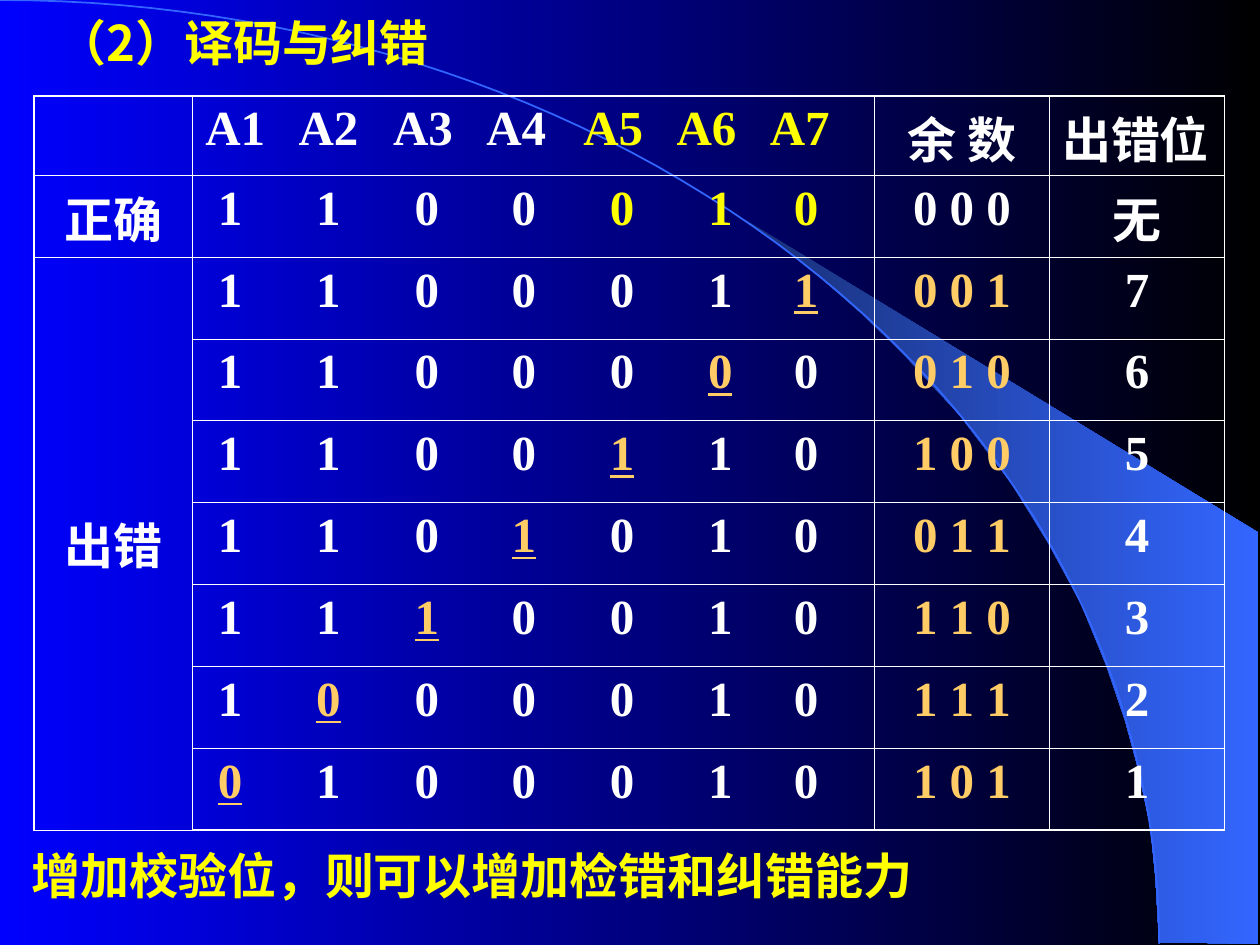
"""Build the slide on decoding and error correction with its syndrome table."""
from dataclasses import dataclass
from math import cos, pi, sin
from typing import NamedTuple

from lxml import etree
from pptx import Presentation
from pptx.dml.color import RGBColor
from pptx.enum.text import MSO_ANCHOR, MSO_AUTO_SIZE, PP_ALIGN
from pptx.oxml.ns import qn
from pptx.util import Inches, Pt

LEFT, CENTER = PP_ALIGN.LEFT, PP_ALIGN.CENTER
TOP, MIDDLE = MSO_ANCHOR.TOP, MSO_ANCHOR.MIDDLE
GROW = MSO_AUTO_SIZE.SHAPE_TO_FIT_TEXT


@dataclass(frozen=True)
class Theme:
    white: str = "FFFFFF"
    yellow: str = "FFFF00"
    error: str = "FFCC66"
    blue: str = "0000FF"
    black: str = "000000"
    wedge: str = "182F76"
    curve: str = "3366FF"
    latin: str = "Times New Roman"
    chinese: str = "Noto Sans CJK SC"
    size: float = 28
    outer_line: float = 1.08
    inner_line: float = 0.45


THEME = Theme()


class Piece(NamedTuple):
    text: str
    color: str = THEME.white
    underline: bool = False
    font: str = THEME.latin


class Caption(NamedTuple):
    piece: Piece
    left: float
    top: float
    width: float
    wrap: bool


class Codeword(NamedTuple):
    bits: str
    remainder: str
    position: str


CAPTIONS = (
    Caption(Piece("（2）译码与纠错", THEME.yellow, font=THEME.chinese), -0.04, 0.05, 3.94, True),
    Caption(Piece("增加校验位，则可以增加检错和纠错能力", THEME.yellow), 0.15, 6.66, 7.19, False),
)
ERRORS = (
    Codeword("1100011", "0 0 1", "7"),
    Codeword("1100000", "0 1 0", "6"),
    Codeword("1100110", "1 0 0", "5"),
    Codeword("1101010", "0 1 1", "4"),
    Codeword("1110010", "1 1 0", "3"),
    Codeword("1000010", "1 1 1", "2"),
    Codeword("0100010", "1 0 1", "1"),
)
COLUMN_WIDTHS = (1.26, 5.41, 1.39, 1.39)
ROW_HEIGHTS = (0.63,) + (0.65,) * 8
HEADER_STOPS = (0.74, 1.49, 2.23, 3, 3.74, 4.48)
BIT_STOPS = (0.78, 1.56, 2.33, 3.11, 3.89, 4.57)
WEDGE = (
    (9.2, 7.48), (9.99, 7.49), (9.99, 4.23), (5.89, 1.73), (6.24, 1.99), (6.53, 2.22),
    (6.85, 2.5), (7.16, 2.8), (7.62, 3.3), (8.03, 3.84), (8.32, 4.31), (8.58, 4.79),
    (8.78, 5.28), (8.93, 5.72), (9.03, 6.09), (9.13, 6.56), (9.17, 6.96),
)
CURVE_SIZE = (9.2, 7.49)
CURVE_STEPS = 60


def apply(target, values: dict) -> None:
    """Set every named attribute on the target."""
    for name, value in values.items():
        setattr(target, name, value)


def set_gradient(fill, colors: tuple[str, str]) -> None:
    """Fill from left to right with two colours."""
    fill.gradient()
    fill.gradient_angle = 0
    for position, (stop, color) in enumerate(zip(fill.gradient_stops, colors)):
        stop.position = position
        stop.color.rgb = RGBColor.from_string(color)


def write(paragraph, pieces: list[Piece], align=CENTER, stops: tuple = ()) -> None:
    """Write styled runs, with tab stops in inches from the text edge."""
    paragraph.alignment = align
    if stops:
        properties = paragraph._p.get_or_add_pPr()
        tabs = etree.SubElement(properties, qn("a:tabLst"))
        for stop in stops:
            etree.SubElement(tabs, qn("a:tab"), pos=str(Inches(stop)), algn="l")
    for piece in pieces:
        run = paragraph.add_run()
        run.text = piece.text
        apply(run.font, {"name": piece.font, "size": Pt(THEME.size), "bold": True,
                         "underline": piece.underline})
        run.font.color.rgb = RGBColor.from_string(piece.color)
        latin = run._r.rPr.find(qn("a:latin"))
        latin.addnext(etree.Element(qn("a:ea"), typeface=THEME.chinese))


def add_outline(slide, points: list | tuple, close: bool):
    """Draw a freeform through points given in inches."""
    corners = [(Inches(x), Inches(y)) for x, y in points]
    builder = slide.shapes.build_freeform(*corners[0], scale=1.0)
    builder.add_line_segments(corners[1:], close=close)
    shape = builder.convert_to_shape()
    shape.shadow.inherit = False
    return shape


def add_backdrop(slide) -> None:
    """Draw the background, the wedge and the curve."""
    set_gradient(slide.background.fill, (THEME.blue, THEME.black))
    wedge = add_outline(slide, WEDGE, True)
    set_gradient(wedge.fill, (THEME.wedge, THEME.curve))
    wedge.line.fill.background()
    width, height = CURVE_SIZE
    angles = [pi / 2 * step / CURVE_STEPS for step in range(CURVE_STEPS + 1)]
    arc = [(width * sin(angle), height * (1 - cos(angle))) for angle in angles]
    curve = add_outline(slide, arc, False)
    curve.fill.background()
    curve.line.color.rgb = RGBColor.from_string(THEME.curve)
    curve.line.width = Pt(1)


def add_caption(slide, caption: Caption) -> None:
    """Add one yellow line of text."""
    box = slide.shapes.add_textbox(Inches(caption.left), Inches(caption.top),
                                   Inches(caption.width), Inches(0.57))
    apply(box.text_frame, {"word_wrap": caption.wrap, "auto_size": GROW})
    write(box.text_frame.paragraphs[0], [caption.piece])


def set_borders(cell, outer_sides: dict[str, bool]) -> None:
    """Give a cell white borders, heavier on the outer sides."""
    properties = cell._tc.get_or_add_tcPr()
    for index, (side, outer) in enumerate(outer_sides.items()):
        width = THEME.outer_line if outer else THEME.inner_line
        line = etree.Element(qn(f"a:{side}"), w=str(Pt(width)))
        fill = etree.SubElement(line, qn("a:solidFill"))
        etree.SubElement(fill, qn("a:srgbClr"), val=THEME.white)
        properties.insert(index, line)


def error_pieces(codeword: Codeword) -> list[Piece]:
    """Split a codeword around its underlined wrong bit."""
    index = int(codeword.position) - 1
    before, wrong, after = codeword.bits[:index], codeword.bits[index], codeword.bits[index + 1:]
    pieces = [Piece("".join(f"{bit}\t" for bit in before)), Piece(wrong, THEME.error, True),
              Piece("".join(f"\t{bit}" for bit in after))]
    return [piece for piece in pieces if piece.text]


def add_table(slide) -> None:
    """Add the table of codewords, remainders and error positions."""
    rows = [
        [[], [Piece("A1\tA2\tA3\tA4\t"), Piece("A5\tA6\tA7", THEME.yellow)],
         [Piece("余 数")], [Piece("出错位")]],
        [[Piece("正确")], [Piece("1\t1\t0\t0\t"), Piece("0\t1\t0", THEME.yellow)],
         [Piece("0 0 0")], [Piece("无")]],
    ]
    for index, codeword in enumerate(ERRORS):
        rows.append([[Piece("出错")] if index == 0 else [], error_pieces(codeword),
                     [Piece(codeword.remainder, THEME.error)], [Piece(codeword.position)]])
    table = slide.shapes.add_table(len(rows), len(COLUMN_WIDTHS), Inches(0.27), Inches(0.76),
                                   Inches(sum(COLUMN_WIDTHS)), Inches(sum(ROW_HEIGHTS))).table
    apply(table, {"first_row": False, "horz_banding": False})
    for column, width in zip(table.columns, COLUMN_WIDTHS):
        column.width = Inches(width)
    last_row, last_column = len(rows) - 1, len(COLUMN_WIDTHS) - 1
    for r, row in enumerate(rows):
        table.rows[r].height = Inches(ROW_HEIGHTS[r])
        for c, pieces in enumerate(row):
            cell = table.cell(r, c)
            is_bits = c == 1 and r > 0
            apply(cell, {"margin_left": Inches(0.2 if is_bits else 0.1),
                         "margin_right": Inches(0.1), "margin_top": Inches(0.05),
                         "margin_bottom": Inches(0.05),
                         "vertical_anchor": MIDDLE if c == 0 else TOP})
            cell.fill.background()
            set_borders(cell, {"lnL": c == 0, "lnR": c == last_column,
                               "lnT": r == 0, "lnB": r == last_row})
            stops = (BIT_STOPS if is_bits else HEADER_STOPS) if c == 1 else ()
            align = LEFT if c == 1 or (r, c) == (0, last_column) else CENTER
            write(cell.text_frame.paragraphs[0], pieces, align, stops)
    table.cell(2, 0).merge(table.cell(last_row, 0))


def main() -> None:
    """Build and save the presentation."""
    presentation = Presentation()
    apply(presentation, {"slide_width": Inches(10), "slide_height": Inches(7.5)})
    slide = presentation.slides.add_slide(presentation.slide_layouts[6])
    add_backdrop(slide)
    title, conclusion = CAPTIONS
    add_caption(slide, title)
    add_table(slide)
    add_caption(slide, conclusion)
    presentation.save("out.pptx")


if __name__ == "__main__":
    main()
